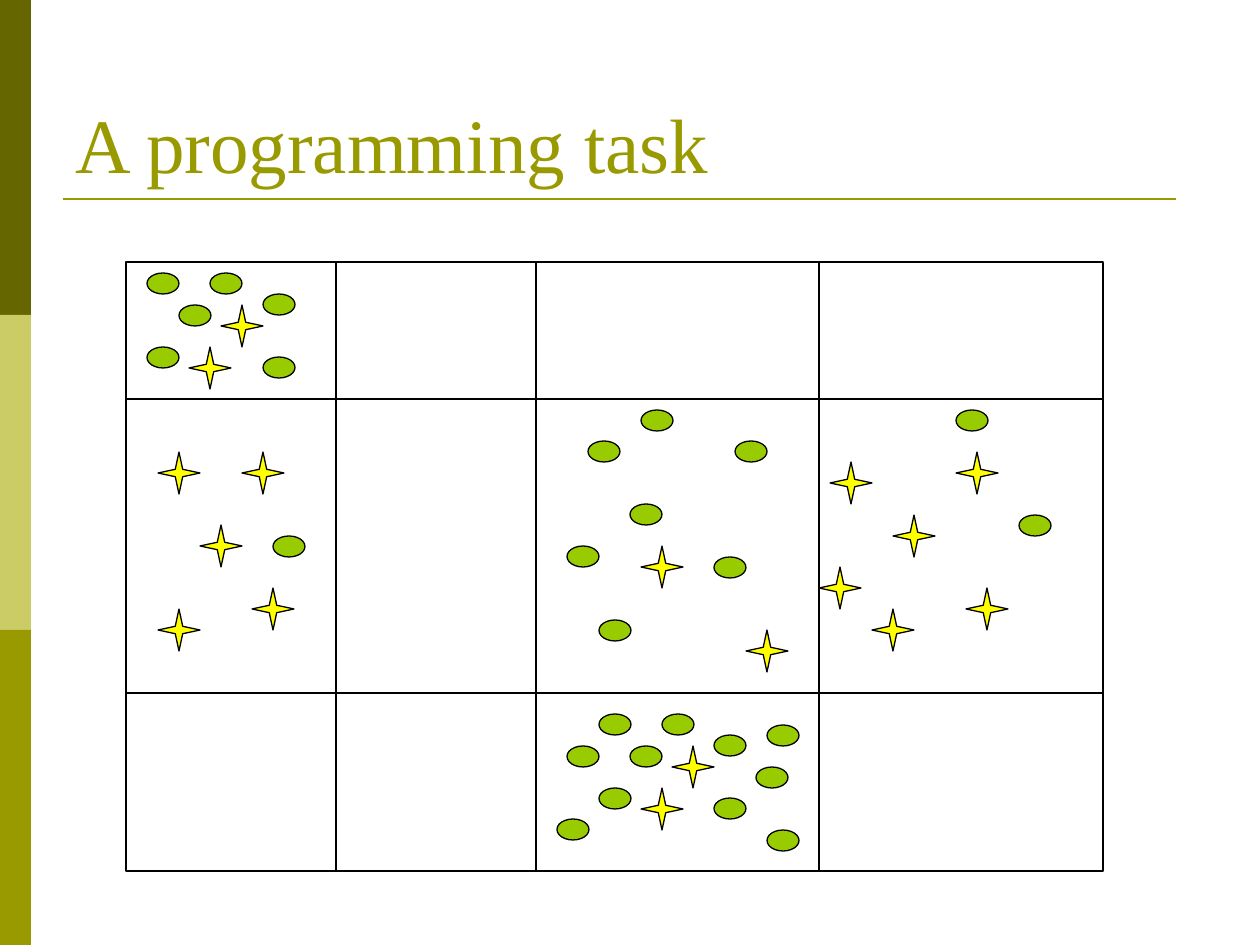
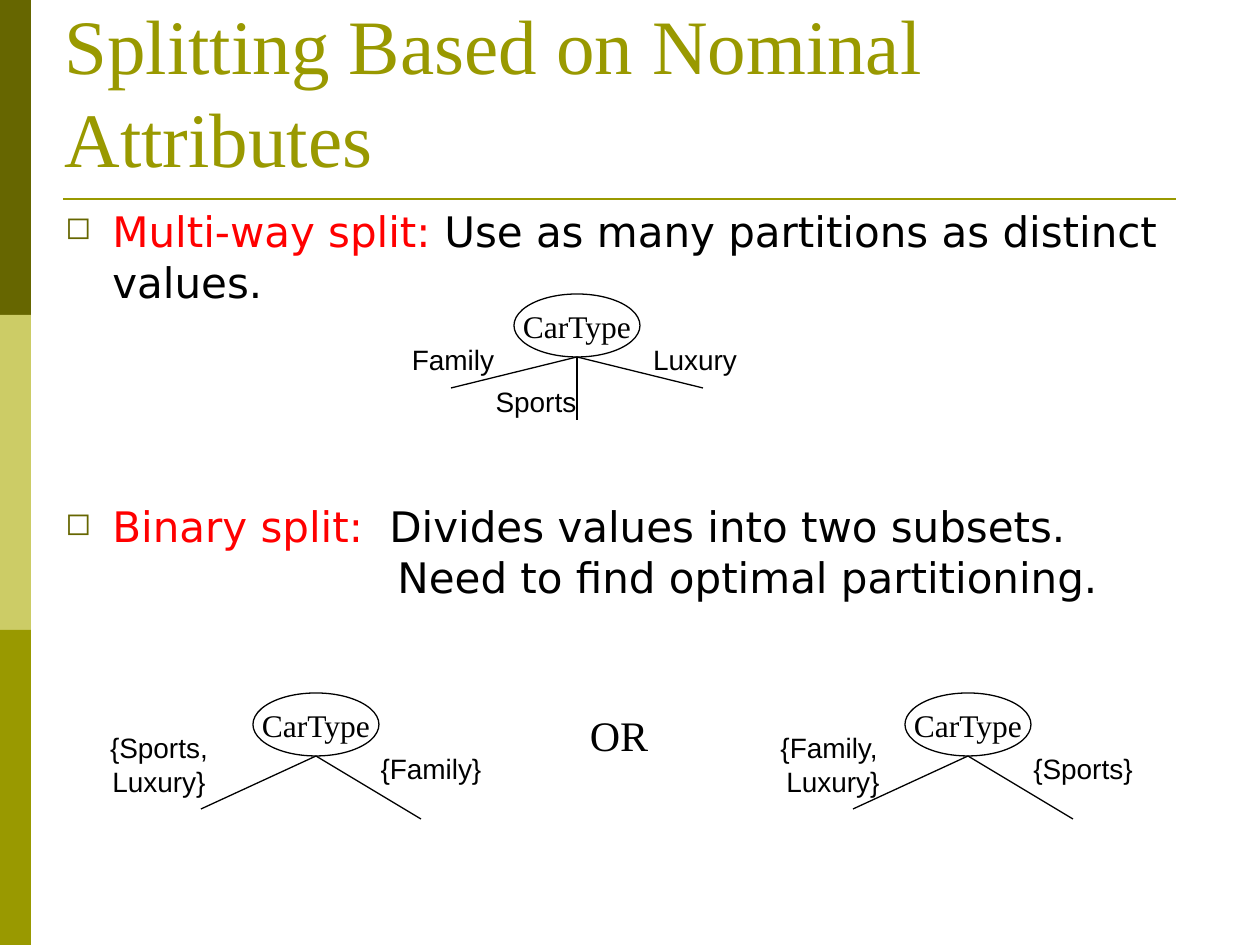
from lxml.etree import SubElement
from pptx import Presentation
from pptx.dml.color import RGBColor
from pptx.enum.shapes import MSO_CONNECTOR, MSO_SHAPE
from pptx.enum.text import MSO_ANCHOR, MSO_AUTO_SIZE, PP_ALIGN
from pptx.oxml.ns import qn
from pptx.util import Emu, Pt

EMU_PER_PX = 914400 / 126
SLIDE_WIDTH, SLIDE_HEIGHT = 1260, 945
TITLE_ONLY = 5

DARK_OLIVE = RGBColor(0x66, 0x66, 0x00)
PALE_OLIVE = RGBColor(0xCC, 0xCC, 0x66)
OLIVE = RGBColor(0x99, 0x99, 0x00)
GREEN = RGBColor(0x99, 0xCC, 0x00)
YELLOW = RGBColor(0xFF, 0xFF, 0x00)
RED = RGBColor(0xFF, 0x00, 0x00)
BLACK = RGBColor(0x00, 0x00, 0x00)
WHITE = RGBColor(0xFF, 0xFF, 0xFF)

SERIF, SANS, BODY = "Times New Roman", "Arial", "DejaVu Sans"

GRID_COLUMNS = (126, 336, 536, 819, 1103)
GRID_ROWS = (262, 399, 693, 871)

# Left and top of each marker, listed by grid cell.
OVALS = (
    (179, 305), (147, 347), (147, 273), (210, 273), (263, 294), (263, 357),
    (273, 536),
    (630, 504), (599, 620), (588, 441), (735, 441), (641, 410), (714, 557), (567, 546),
    (956, 410), (1019, 515),
    (630, 746), (599, 788), (599, 714), (662, 714), (714, 735), (714, 798),
    (767, 830), (767, 725), (756, 767), (557, 819), (567, 746),
)
STARS = (
    (189, 347), (221, 305),
    (158, 452), (200, 525), (242, 452), (158, 609), (252, 588),
    (641, 546), (746, 630),
    (830, 462), (819, 567), (956, 452), (872, 609), (966, 588), (893, 515),
    (641, 788), (672, 746),
)

# Branch ends, measured from the bottom of the root.
THREE_WAY = ((-126, 31), (0, 63), (126, 31))
TWO_WAY = ((-115, 53), (105, 63))


def px(length):
    return Emu(round(length * EMU_PER_PX))


def box(*lengths):
    return [px(length) for length in lengths]


def format_runs(paragraph, font_name, size, color):
    for run in paragraph.runs:
        run.font.name = font_name
        run.font.size = Pt(size)
        run.font.color.rgb = color


def add_shape(slide, kind, area, fill, outline=BLACK):
    shape = slide.shapes.add_shape(kind, *box(*area))
    shape.shadow.inherit = False
    shape.fill.solid()
    shape.fill.fore_color.rgb = fill
    if outline is None:
        shape.line.fill.background()
    else:
        shape.line.color.rgb = outline
        shape.line.width = Pt(0.75)
    return shape


def add_line(slide, start, end, color=BLACK, width=0.75):
    line = slide.shapes.add_connector(MSO_CONNECTOR.STRAIGHT, *box(*start, *end))
    line.line.color.rgb = color
    line.line.width = Pt(width)
    SubElement(line._element.spPr, qn("a:effectLst"))


def set_centred_text(shape, text, font_name, size):
    frame = shape.text_frame
    frame.text = text
    frame.word_wrap = False
    frame.vertical_anchor = MSO_ANCHOR.MIDDLE
    paragraph = frame.paragraphs[0]
    paragraph.alignment = PP_ALIGN.CENTER
    format_runs(paragraph, font_name, size, BLACK)


def add_label(slide, area, text, font_name=SANS, size=16):
    label = slide.shapes.add_textbox(*box(*area))
    set_centred_text(label, text, font_name, size)
    label.text_frame.auto_size = MSO_AUTO_SIZE.SHAPE_TO_FIT_TEXT


def add_titled_slide(presentation, title_text, title_area):
    """Add a slide with the side bands, the rule and its title."""
    slide = presentation.slides.add_slide(presentation.slide_layouts[TITLE_ONLY])
    band_height = SLIDE_HEIGHT // 3
    for index, color in enumerate((DARK_OLIVE, PALE_OLIVE, OLIVE)):
        area = (0, index * band_height, 31, band_height)
        add_shape(slide, MSO_SHAPE.RECTANGLE, area, color, outline=None)
    add_line(slide, (63, 199), (1176, 199), OLIVE, 1.5)

    title = slide.shapes.title
    title.left, title.top, title.width, title.height = box(*title_area)
    frame = title.text_frame
    frame.text = title_text
    frame.auto_size = MSO_AUTO_SIZE.NONE
    frame.vertical_anchor = MSO_ANCHOR.BOTTOM
    frame.paragraphs[0].alignment = PP_ALIGN.LEFT
    format_runs(frame.paragraphs[0], SERIF, 44, OLIVE)
    return slide


def add_grid(slide):
    left, *inner_columns, right = GRID_COLUMNS
    top, *inner_rows, bottom = GRID_ROWS
    add_shape(slide, MSO_SHAPE.RECTANGLE, (left, top, right - left, bottom - top), WHITE)
    for y in inner_rows:
        add_line(slide, (left, y), (right, y))
    for x in inner_columns:
        add_line(slide, (x, top), (x, bottom))


def set_bullet(paragraph, tab_stops):
    """Give the paragraph a hanging square bullet and left tab stops in px."""
    properties = paragraph._p.get_or_add_pPr()
    properties.set("marL", str(px(47)))
    properties.set("indent", str(px(-47)))
    bullet_color = SubElement(properties, qn("a:buClr"))
    SubElement(bullet_color, qn("a:srgbClr"), val=str(DARK_OLIVE))
    SubElement(properties, qn("a:buSzPct"), val="75000")
    SubElement(properties, qn("a:buChar"), char="◻")
    if tab_stops:
        tab_list = SubElement(properties, qn("a:tabLst"))
        for stop in tab_stops:
            SubElement(tab_list, qn("a:tab"), pos=str(px(stop)), algn="l")


def fill_bullet(paragraph, lead, lines, tab_stops=()):
    """Write a red lead followed by black lines."""
    set_bullet(paragraph, tab_stops)
    paragraph.line_spacing = 1.02
    paragraph.text = lead
    for index, line in enumerate(lines):
        if index:
            paragraph.add_line_break()
        paragraph.add_run().text = line
    format_runs(paragraph, BODY, 24, BLACK)
    paragraph.runs[0].font.color.rgb = RED


def add_split_bullets(slide):
    frame = slide.shapes.add_textbox(*box(53, 198, 1155, 514)).text_frame
    frame.word_wrap = True
    fill_bullet(frame.paragraphs[0], "Multi-way split:",
                [" Use as many partitions as distinct values."])
    binary = frame.add_paragraph()
    fill_bullet(binary, "Binary split:",
                ["\tDivides values into two subsets.",
                 "\t\tNeed to find optimal partitioning."],
                tab_stops=(324, 332))
    binary.space_before = Pt(110)


def add_tree(slide, left, top, branches, labels):
    width, height = 126, 63
    root = add_shape(slide, MSO_SHAPE.OVAL, (left, top, width, height), WHITE)
    set_centred_text(root, "CarType", SERIF, 18)
    x, y = left + width // 2, top + height
    for across, down in branches:
        add_line(slide, (x, y), (x + across, y + down))
    for text, area in labels:
        add_label(slide, area, text)


def build_task_slide(presentation):
    slide = add_titled_slide(presentation, "A programming task", (63, 38, 1134, 157))
    add_grid(slide)
    for left, top in OVALS:
        add_shape(slide, MSO_SHAPE.OVAL, (left, top, 32, 21), GREEN)
    for left, top in STARS:
        add_shape(slide, MSO_SHAPE.STAR_4_POINT, (left, top, 42, 42), YELLOW)


def build_splitting_slide(presentation):
    slide = add_titled_slide(presentation, "Splitting Based on Nominal Attributes",
                             (52, 116, 1187, 73))
    add_split_bullets(slide)
    add_tree(slide, 514, 294, THREE_WAY, (
        ("Family", (395, 336, 116, 47)),
        ("Sports", (478, 378, 116, 47)),
        ("Luxury", (637, 336, 116, 47)),
    ))
    add_tree(slide, 905, 693, TWO_WAY, (
        ("{Family, \vLuxury}", (763, 724, 140, 81)),
        ("{Sports}", (1015, 745, 136, 47)),
    ))
    add_tree(slide, 253, 693, TWO_WAY, (
        ("{Sports,\vLuxury}", (89, 724, 140, 81)),
        ("{Family}", (363, 745, 136, 47)),
    ))
    add_label(slide, (569, 703, 100, 63), "OR", SERIF, 24)


def main():
    presentation = Presentation()
    presentation.slide_width = px(SLIDE_WIDTH)
    presentation.slide_height = px(SLIDE_HEIGHT)
    build_task_slide(presentation)
    build_splitting_slide(presentation)
    presentation.save("out.pptx")


if __name__ == "__main__":
    main()
